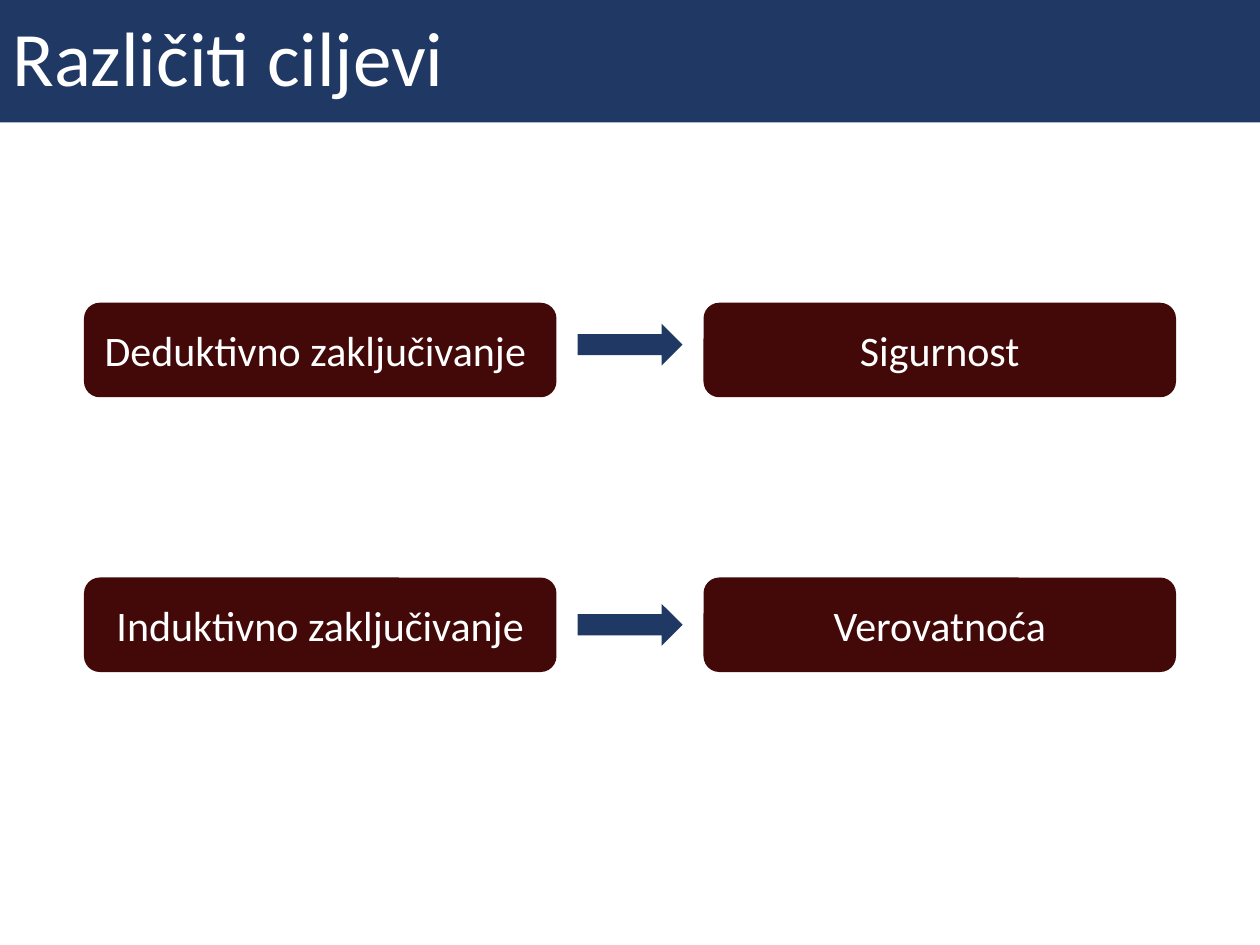
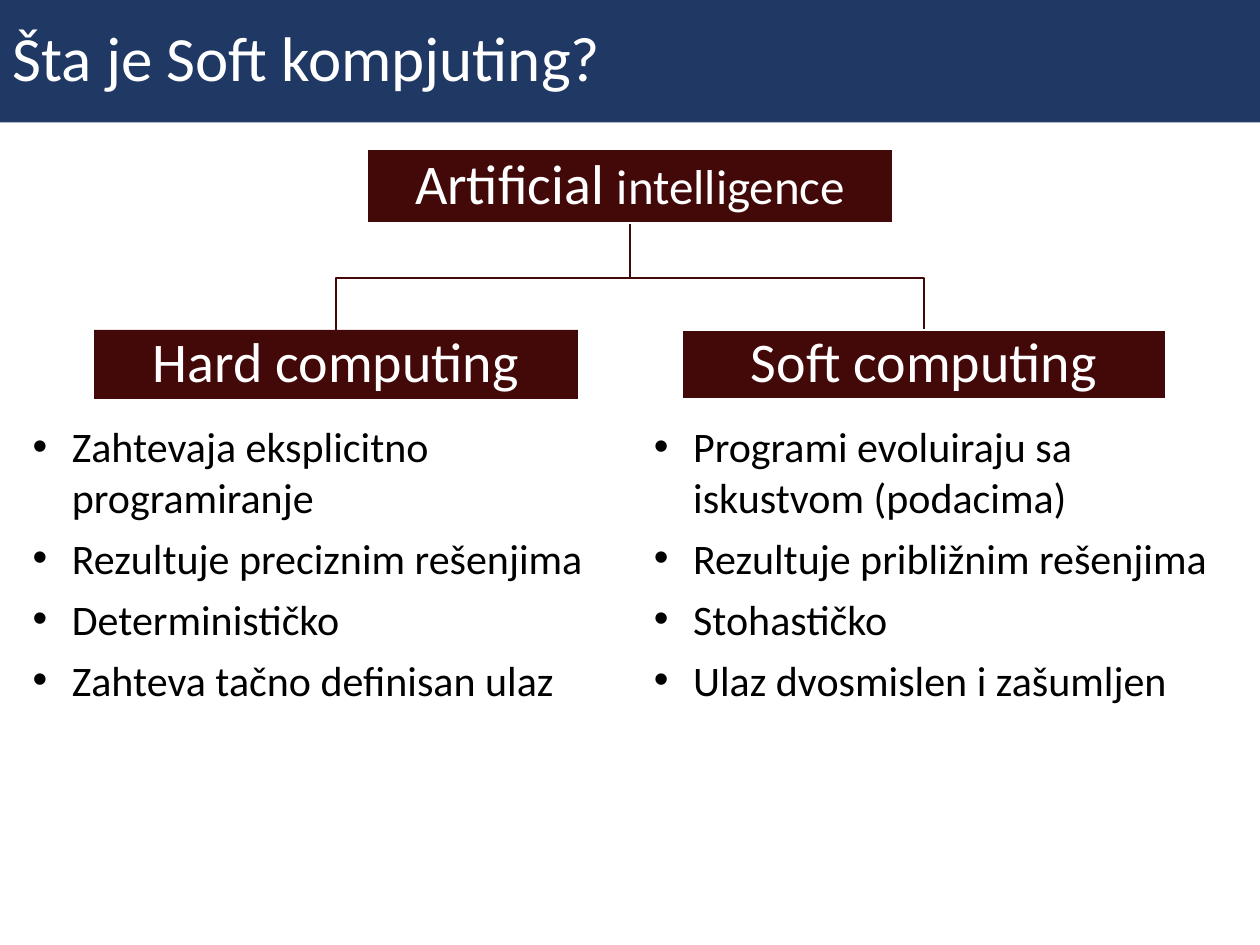
from dataclasses import dataclass

from lxml import etree
from pptx import Presentation
from pptx.dml.color import RGBColor
from pptx.enum.shapes import MSO_SHAPE
from pptx.enum.text import MSO_ANCHOR, PP_ALIGN
from pptx.oxml.ns import qn
from pptx.util import Pt


@dataclass(frozen=True)
class Theme:
    font: str = "Calibri"
    navy: RGBColor = RGBColor(0x20, 0x38, 0x64)
    maroon: RGBColor = RGBColor(0x43, 0x09, 0x09)
    white: RGBColor = RGBColor(0xFF, 0xFF, 0xFF)
    black: RGBColor = RGBColor(0, 0, 0)
    title: int = 44
    long_title: int = 36
    heading: int = 32
    subheading: int = 28
    body: int = 24


class Deck:
    def __init__(self, theme):
        self.theme = theme
        self.presentation = Presentation()
        self.presentation.slide_width = Pt(720)
        self.presentation.slide_height = Pt(540)
        self.slide = None

    def new_slide(self, title, size):
        self.slide = self.presentation.slides.add_slide(self.presentation.slide_layouts[6])
        band = self.block(MSO_SHAPE.RECTANGLE, 0, 0, 720, 70, self.theme.navy)
        self.label(band, [(title, size)], PP_ALIGN.LEFT, 0.9)

    def block(self, kind, left, top, width, height, color):
        block = self.slide.shapes.add_shape(kind, Pt(left), Pt(top), Pt(width), Pt(height))
        block.shadow.inherit = False
        block.fill.solid()
        block.fill.fore_color.rgb = color
        block.line.fill.background()
        return block

    def style(self, paragraph, size, color):
        paragraph.font.name = self.theme.font
        paragraph.font.size = Pt(size)
        paragraph.font.color.rgb = color

    def label(self, block, parts, align=PP_ALIGN.CENTER, spacing=1.0):
        frame = block.text_frame
        frame.word_wrap = True
        frame.vertical_anchor = MSO_ANCHOR.MIDDLE
        paragraph = frame.paragraphs[0]
        paragraph.alignment = align
        paragraph.line_spacing = spacing
        base_size = parts[0][1]
        for text, size in parts:
            run = paragraph.add_run()
            run.text = text
            if size != base_size:
                run.font.size = Pt(size)
        self.style(paragraph, base_size, self.theme.white)

    def rounded_box(self, text, left, top):
        box = self.block(MSO_SHAPE.ROUNDED_RECTANGLE, left, top, 270, 54, self.theme.maroon)
        self.label(box, [(text, self.theme.body)])

    def arrow(self, left, top):
        self.block(MSO_SHAPE.RIGHT_ARROW, left, top, 60, 24, self.theme.navy)

    def tree_node(self, parts, center, top, width, height, outlined=True):
        node = self.block(MSO_SHAPE.RECTANGLE, center - width / 2, top, width, height,
                          self.theme.maroon)
        if outlined:
            node.line.color.rgb = self.theme.white
            node.line.width = Pt(1)
        frame = node.text_frame
        frame.margin_left = frame.margin_right = Pt(1.5)
        frame.margin_top = frame.margin_bottom = Pt(1.5)
        self.label(node, parts, spacing=0.9)

    def branch(self, start, end, bend):
        (start_x, start_y), (end_x, end_y) = start, end
        builder = self.slide.shapes.build_freeform(Pt(start_x), Pt(start_y))
        corners = [(start_x, bend), (end_x, bend), (end_x, end_y)]
        builder.add_line_segments([(Pt(x), Pt(y)) for x, y in corners], close=False)
        elbow = builder.convert_to_shape()
        elbow.shadow.inherit = False
        elbow.fill.background()
        elbow.line.color.rgb = self.theme.maroon
        elbow.line.width = Pt(1)

    def bullets(self, items, left, top, width, height):
        box = self.slide.shapes.add_textbox(Pt(left), Pt(top), Pt(width), Pt(height))
        frame = box.text_frame
        frame.word_wrap = True
        for index, item in enumerate(items):
            paragraph = frame.add_paragraph() if index else frame.paragraphs[0]
            paragraph.text = item
            paragraph.space_after = Pt(6)
            properties = paragraph._p.get_or_add_pPr()
            properties.set("marL", str(Pt(22.5)))
            properties.set("indent", str(Pt(-22.5)))
            etree.SubElement(properties, qn("a:buFont"), typeface="Arial")
            etree.SubElement(properties, qn("a:buChar"), char="•")
            self.style(paragraph, self.theme.body, self.theme.black)


def build_goals(deck):
    deck.new_slide("Različiti ciljevi", deck.theme.title)
    rows = [
        ("Deduktivno zaključivanje ", "Sigurnost", 173, 185),
        ("Induktivno zaključivanje", "Verovatnoća", 330, 345),
    ]
    for reasoning, goal, box_top, arrow_top in rows:
        deck.rounded_box(reasoning, 48, box_top)
        deck.rounded_box(goal, 402, box_top)
        deck.arrow(330, arrow_top)


def build_soft_computing(deck):
    theme = deck.theme
    deck.new_slide("Šta je Soft kompjuting?", theme.long_title)
    middle, root_top, root_height, child_top = 360, 85, 42.5, 188.5
    root_bottom = root_top + root_height
    approaches = [
        ("Hard computing", middle - 168, 11.5, False, [
            "Zahtevaja eksplicitno programiranje",
            "Rezultuje preciznim rešenjima",
            "Determinističko",
            "Zahteva tačno definisan ulaz",
        ]),
        ("Soft computing", middle + 168, 366.5, True, [
            "Programi evoluiraju sa iskustvom (podacima)",
            "Rezultuje približnim rešenjima",
            "Stohastičko",
            "Ulaz dvosmislen i zašumljen",
        ]),
    ]
    for _, center, _, _, _ in approaches:
        deck.branch((middle, root_bottom), (center, child_top), 159)
    deck.tree_node([("Artificial ", theme.heading), ("intelligence", theme.subheading)],
                   middle, root_top, 300, root_height)
    for name, center, list_left, outlined, traits in approaches:
        deck.tree_node([(name, theme.heading)], center, child_top, 276.5, 39.5, outlined)
        deck.bullets(traits, list_left, 237, 342, 170.5)


def main():
    deck = Deck(Theme())
    build_goals(deck)
    build_soft_computing(deck)
    deck.presentation.save("out.pptx")


if __name__ == "__main__":
    main()
